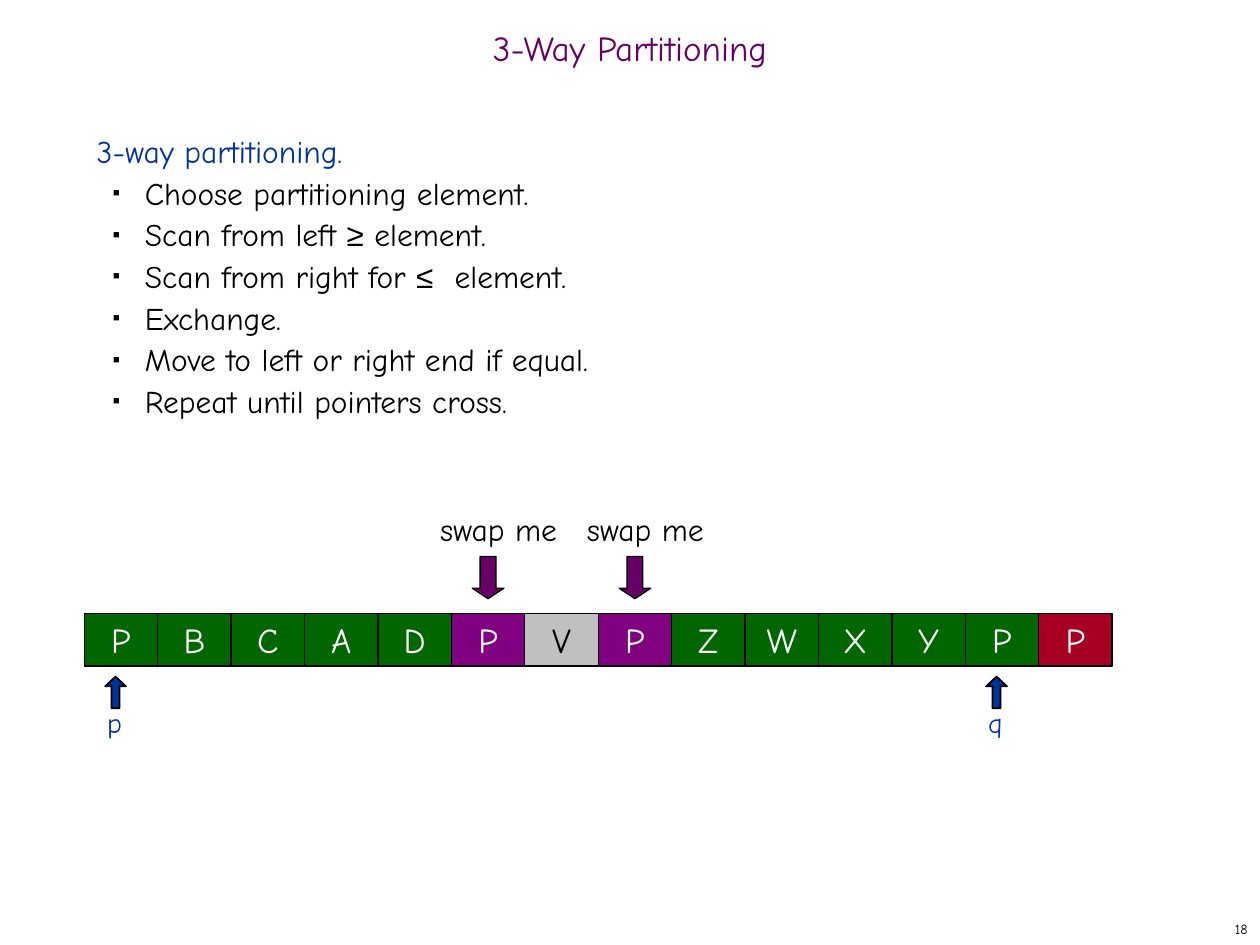
from lxml import etree
from pptx import Presentation
from pptx.dml.color import RGBColor
from pptx.enum.shapes import MSO_SHAPE
from pptx.enum.text import MSO_ANCHOR, MSO_AUTO_SIZE, PP_ALIGN
from pptx.oxml.ns import qn
from pptx.util import Cm, Pt

LEFT, CENTER, RIGHT = PP_ALIGN.LEFT, PP_ALIGN.CENTER, PP_ALIGN.RIGHT
TOP, MIDDLE = MSO_ANCHOR.TOP, MSO_ANCHOR.MIDDLE
GROW = MSO_AUTO_SIZE.SHAPE_TO_FIT_TEXT
RECTANGLE = MSO_SHAPE.RECTANGLE
UP_ARROW, DOWN_ARROW = MSO_SHAPE.UP_ARROW, MSO_SHAPE.DOWN_ARROW

COLORS = {
    "black": "000000", "white": "FFFFFF", "label": "010000",
    "plum": "660066", "blue": "003399", "green": "006600",
    "purple": "800080", "gray": "C0C0C0", "red": "A50021",
}


def write(box, text, *, size=18, color="black", align=LEFT, anchor=TOP,
          before=0, wrap=True, new=False):
    """Write text into the first or a new paragraph; math signs use Arial."""
    frame = box.text_frame
    frame.word_wrap = wrap
    frame.vertical_anchor = anchor
    para = frame.add_paragraph() if new else frame.paragraphs[0]
    para.alignment = align
    para.space_before = Pt(before)
    for sign in "≥≤":
        text = text.replace(sign, f"|{sign}|")
    for part in text.split("|"):
        span = para.add_run()
        span.text = part
        span.font.name = "Arial" if part in ("≥", "≤") else "Comic Neue"
        span.font.size = Pt(size)
        span.font.color.rgb = RGBColor.from_string(COLORS[color])
    return para


def draw(shapes, kind, left, top, width, height, fill, line=0.75, adjust=()):
    """Add a filled shape with a black outline; lengths in centimetres."""
    shape = shapes.add_shape(kind, Cm(left), Cm(top), Cm(width), Cm(height))
    shape.shadow.inherit = False
    shape.fill.solid()
    shape.fill.fore_color.rgb = RGBColor.from_string(COLORS[fill])
    shape.line.color.rgb = RGBColor.from_string(COLORS["black"])
    shape.line.width = Pt(line)
    for index, value in enumerate(adjust):
        shape.adjustments[index] = value
    return shape


deck = Presentation()
deck.slide_width, deck.slide_height = Cm(25.4), Cm(19.05)
page = deck.slides.add_slide(deck.slide_layouts[6])

# Title
title = page.shapes.add_textbox(Cm(0), Cm(0.43), Cm(25.4), Cm(1.27))
para = write(title, "3-Way Partitioning", size=20, color="plum",
             align=CENTER, anchor=MIDDLE)
para.line_spacing = 0.7

# Steps of the algorithm
steps = [
    "Choose partitioning element.",
    "Scan from left ≥ element.",
    "Scan from right for ≤  element.",
    "Exchange.",
    "Move to left or right end if equal.",
    "Repeat until pointers cross.",
]
body = page.shapes.add_textbox(Cm(1.7), Cm(2.54), Cm(21.79), Cm(15.04))
write(body, "3-way partitioning.", color="blue", before=2.2)
for step in steps:
    para = write(body, step, before=2.2, new=True)
    para.level = 1
    properties = para._p.get_or_add_pPr()
    properties.set("marL", str(Cm(0.97)))
    properties.set("indent", str(Cm(-0.64)))
    bullet_color = etree.SubElement(properties, qn("a:buClr"))
    etree.SubElement(bullet_color, qn("a:srgbClr"), val=COLORS["black"])
    etree.SubElement(properties, qn("a:buSzPct"), val="35000")
    etree.SubElement(properties, qn("a:buFont"), typeface="Arial")
    etree.SubElement(properties, qn("a:buChar"), char="■")

# Array cells
CELL, ARRAY_LEFT = 1.48, 1.7
letters = "PBCADPVPZWXYPP"
special_fills = {5: "purple", 6: "gray", 7: "purple", 13: "red"}
for index, letter in enumerate(letters):
    fill = special_fills.get(index, "green")
    cell = draw(page.shapes, RECTANGLE, ARRAY_LEFT + index * CELL, 12.37,
                CELL, 1.06, fill)
    write(cell, letter, size=20, color="black" if fill == "gray" else "white",
          align=CENTER, anchor=MIDDLE, wrap=False)

# Pointers under the array
for name, index in (("p", 0), ("q", 12)):
    left = ARRAY_LEFT + index * CELL
    pointer = page.shapes.add_textbox(Cm(left + 0.21), Cm(14.1),
                                      Cm(0.84), Cm(0.94))
    pointer.text_frame.auto_size = GROW
    write(pointer, name, size=16, color="blue", before=10)
    draw(page.shapes, UP_ARROW, left + 0.42, 13.64, 0.42, 0.64, "blue",
         line=1, adjust=(0.38, 0.47))

# Swap markers above the array
for index in (5, 7):
    left = ARRAY_LEFT + index * CELL
    marker = page.shapes.add_group_shape()
    draw(marker.shapes, DOWN_ARROW, left + 0.42, 11.22, 0.64, 0.85, "plum",
         adjust=(0.5, 0.33))
    label = marker.shapes.add_textbox(Cm(left - 0.85), Cm(10.16),
                                      Cm(3.6), Cm(1.02))
    label.text_frame.auto_size = GROW
    write(label, "swap me", color="label", align=CENTER, before=11.2)

# Page number
number = page.shapes.add_textbox(Cm(20.11), Cm(18.42), Cm(5.29), Cm(0.63))
write(number, "18", size=8, align=RIGHT, anchor=MIDDLE)

deck.save("out.pptx")
